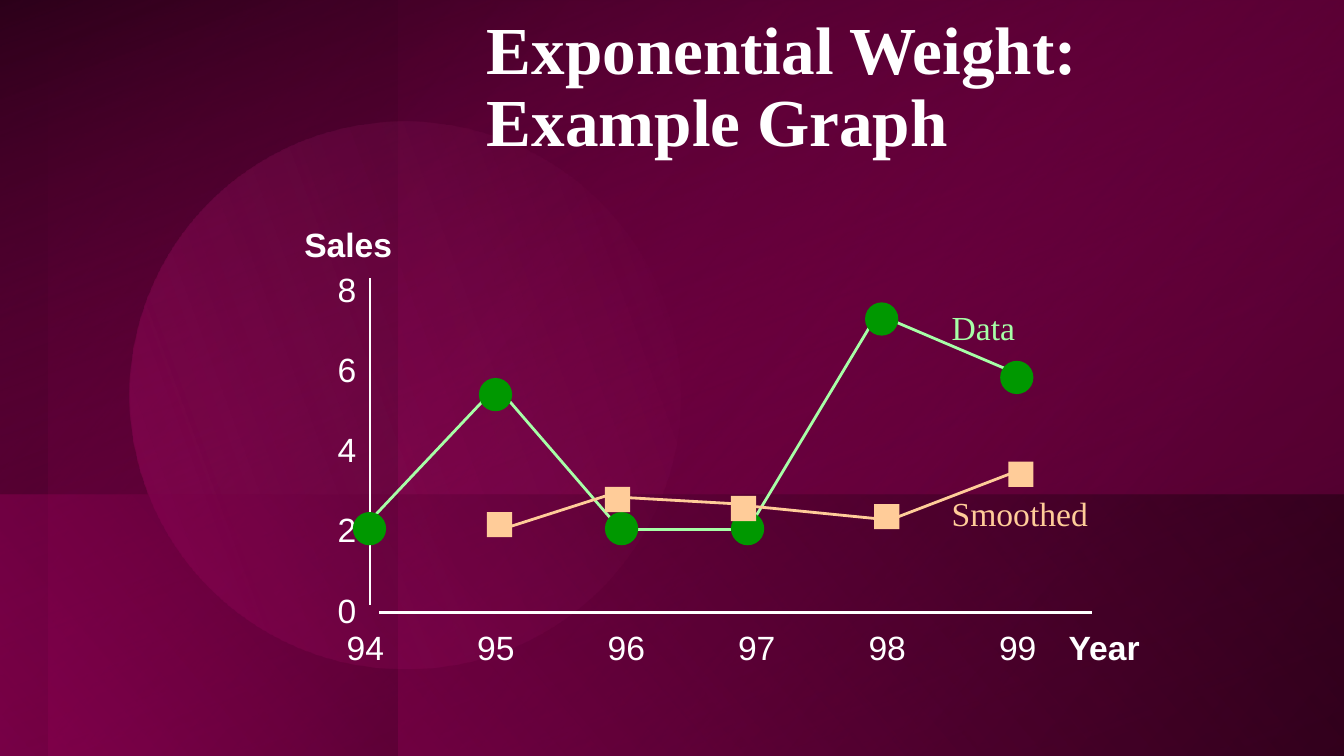
from lxml.etree import SubElement
from pptx import Presentation
from pptx.dml.color import RGBColor
from pptx.enum.shapes import MSO_CONNECTOR as Conn, MSO_SHAPE as Shape
from pptx.enum.text import MSO_ANCHOR as Anchor
from pptx.oxml import parse_xml
from pptx.oxml.ns import nsdecls, qn
from pptx.util import Inches, Pt

WHITE = RGBColor(0xFF, 0xFF, 0xFF)
NAVY = RGBColor(0x00, 0x00, 0x66)
GREEN = RGBColor(0x00, 0x98, 0x00)
MINT = RGBColor(0xA7, 0xFF, 0xA7)
PEACH = RGBColor(0xFF, 0xCC, 0x99)
BLACK = RGBColor(0x00, 0x00, 0x00)
BERRY = RGBColor(0xA5, 0x00, 0x61)
PLUM = RGBColor(0x6E, 0x00, 0x40)
MAGENTA = RGBColor(0xDC, 0x00, 0x81)
PINK = RGBColor(0xFF, 0x51, 0xB7)

SERIF, SANS = "Times New Roman", "Arial"

# Backdrop layers: shape, box, rotation, mirrored, angle, (position, colour, opacity) stops
BACKDROP = [
    (Shape.RECTANGLE, (-0.01, 0, 13.37, 7.51), 180, False, 70,
     [(0, BLACK, 100), (100, BERRY, 100)]),
    (Shape.RECTANGLE, (0.48, 0, 12.87, 7.51), 180, True, 140,
     [(21, PLUM, 83), (100, MAGENTA, 0)]),
    (Shape.RECTANGLE, (-0.02, 0, 3.96, 7.51), 180, False, 220,
     [(0, BERRY, 0), (99, BLACK, 41)]),
    (Shape.RECTANGLE, (-0.02, 0, 13.38, 7.51), 0, True, 290,
     [(3, BERRY, 0), (100, BLACK, 73)]),
    (Shape.RECTANGLE, (4.9, -0.94, 7.5, 9.4), 90, True, 230,
     [(3, BERRY, 0), (100, BLACK, 27)]),
    (Shape.OVAL, (1.3, 1.19, 5.43, 5.46), 99.9, False, 240,
     [(0, MAGENTA, 26), (85, PINK, 0)]),
    (Shape.RECTANGLE, (0, 4.91, 13.36, 2.6), 0, True, 220,
     [(0, BERRY, 50), (99, BLACK, 34)]),
]

AXES = [((3.67, 2.76), (3.67, 6)), ((3.76, 6.08), (10.83, 6.08))]
DATA_LINES = [((3.59, 5.25), (4.92, 3.84)), ((5.01, 3.93), (6.08, 5.17)),
              ((6.26, 5.25), (7.33, 5.25)), ((7.42, 5.25), (8.67, 3.17)),
              ((8.85, 3.18), (10, 3.67))]
SMOOTHED_LINES = [((5.01, 5.24), (6.07, 4.9)), ((6.1, 4.93), (7.33, 5)),
                  ((7.43, 5.02), (8.74, 5.15)), ((8.77, 5.18), (10.15, 4.65))]
DATA_MARKS = [(3.5, 5.08), (4.75, 3.75), (6, 5.08),
              (7.25, 5.08), (8.58, 3), (9.92, 3.58)]
SMOOTHED_MARKS = [(4.83, 5.08), (6, 4.83), (7.25, 4.92), (8.67, 5), (10, 4.58)]

YEARS = ["94", "95", "96", "97", "98", "99"]
YEAR_SPAN = 6.47  # from the first year label to the last
SALES_TICKS = ["8", "6", "4", "2", "0"]


def add_shape(slide, kind, box):
    sp = slide.shapes.add_shape(kind, *map(Inches, box))
    sp.shadow.inherit = False
    sp.line.fill.background()
    return sp


def add_gradient(slide, kind, box, rotation, mirrored, angle, stops):
    sp = add_shape(slide, kind, box)
    sp.rotation = rotation
    sp.fill.background()
    spPr = sp._element.spPr
    if mirrored:
        spPr.get_or_add_xfrm().set("flipH", "1")
    gs = "".join(
        f'<a:gs pos="{pos * 1000}"><a:srgbClr val="{color}">'
        f'<a:alpha val="{opacity * 1000}"/></a:srgbClr></a:gs>'
        for pos, color, opacity in stops)
    grad = parse_xml(f'<a:gradFill {nsdecls("a")}><a:gsLst>{gs}</a:gsLst>'
                     f'<a:lin ang="{angle * 60000}" scaled="0"/></a:gradFill>')
    spPr.replace(spPr.find(qn("a:noFill")), grad)


def add_marks(slide, kind, size, points, color):
    for x, y in points:
        sp = add_shape(slide, kind, (x, y, size, size))
        sp.fill.solid()
        sp.fill.fore_color.rgb = color


def add_lines(slide, segments, color):
    for start, end in segments:
        cxn = slide.shapes.add_connector(Conn.STRAIGHT, *map(Inches, start + end))
        cxn.line.width = Pt(2)
        cxn.line.color.rgb = color
        SubElement(cxn._element.spPr, qn("a:effectLst"))


def add_text(slide, box, lines, color=WHITE, anchor=Anchor.TOP, para=None, **font):
    tf = slide.shapes.add_textbox(*map(Inches, box)).text_frame
    tf.word_wrap = True
    tf.vertical_anchor = anchor
    font = {"name": SANS, "size": Pt(24), **font}
    for i, line in enumerate(lines):
        p = tf.add_paragraph() if i else tf.paragraphs[0]
        for name, value in (para or {}).items():
            setattr(p, name, value)
        if i:
            p.space_before = Pt(14)
        r = p.add_run()
        r.text = line
        r.font.color.rgb = color
        for name, value in font.items():
            setattr(r.font, name, value)
    return tf


def add_year_labels(slide):
    tf = add_text(slide, (3.34, 6.17, 7.83, 0.5), ["\t".join(YEARS)])
    tabs = SubElement(tf.paragraphs[0]._p.get_or_add_pPr(), qn("a:tabLst"))
    gaps = len(YEARS) - 1
    for i in range(1, gaps + 1):
        SubElement(tabs, qn("a:tab"), pos=str(Inches(YEAR_SPAN * i / gaps)), algn="l")


def main():
    prs = Presentation()
    prs.slide_width, prs.slide_height = Inches(13.33), Inches(7.5)
    slide = prs.slides.add_slide(prs.slide_layouts[6])

    # Background
    slide.background.fill.solid()
    slide.background.fill.fore_color.rgb = NAVY
    for layer in BACKDROP:
        add_gradient(slide, *layer)

    # Title
    add_text(slide, (4.73, 0.07, 7.34, 1.58), ["Exponential Weight: Example Graph"],
             anchor=Anchor.BOTTOM, para={"line_spacing": 0.9},
             name=SERIF, size=Pt(48), bold=True)

    # Axes and their labels
    add_lines(slide, AXES, WHITE)
    add_year_labels(slide)
    add_text(slide, (3.25, 2.42, 0.58, 3.89), SALES_TICKS, para={"line_spacing": 1.5})
    add_text(slide, (2.92, 2.17, 1.41, 0.5), ["Sales"], bold=True)
    add_text(slide, (10.5, 6.17, 1.41, 0.5), ["Year"], bold=True)

    # Series
    add_lines(slide, DATA_LINES, MINT)
    add_lines(slide, SMOOTHED_LINES, PEACH)
    add_marks(slide, Shape.OVAL, 0.33, DATA_MARKS, GREEN)
    add_marks(slide, Shape.RECTANGLE, 0.25, SMOOTHED_MARKS, PEACH)
    add_text(slide, (9.34, 3, 1.5, 0.5), ["Data"], MINT, name=SERIF)
    add_text(slide, (9.34, 4.84, 1.91, 0.5), ["Smoothed"], PEACH, name=SERIF)

    prs.save("out.pptx")


if __name__ == "__main__":
    main()
